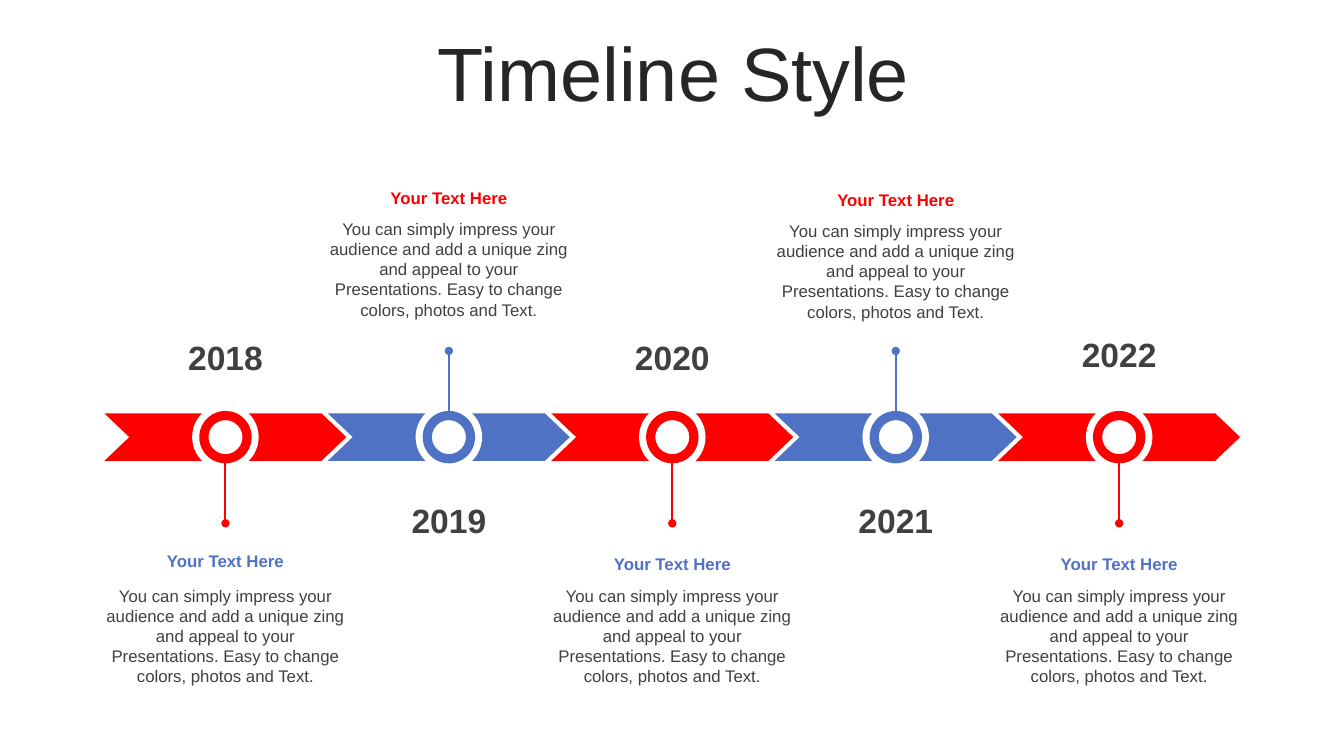
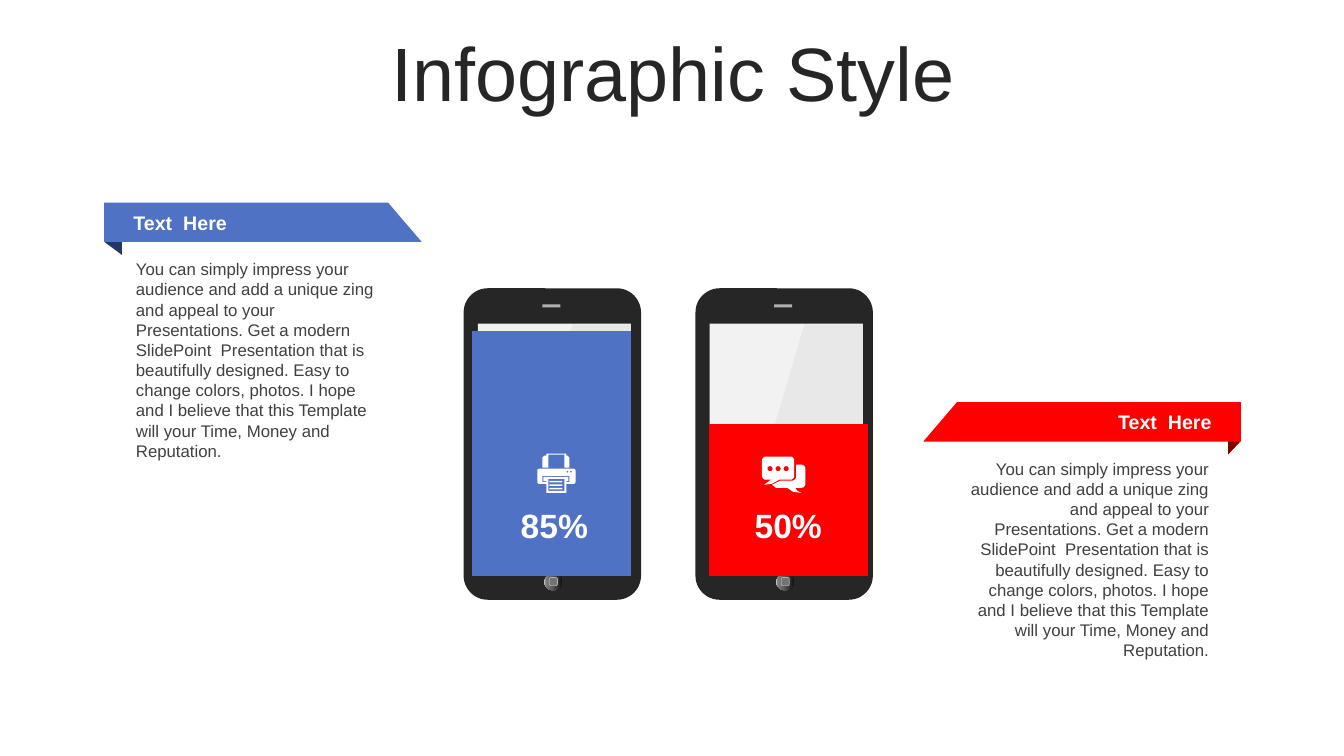
from dataclasses import dataclass
from math import cos, radians, sin

from lxml.etree import SubElement as Sub
from pptx import Presentation
from pptx.chart.data import CategoryChartData as Data
from pptx.dml.color import RGBColor as Rgb
from pptx.enum.chart import XL_CHART_TYPE as Kind
from pptx.enum.shapes import MSO_CONNECTOR as Link, MSO_SHAPE as Form
from pptx.enum.text import MSO_ANCHOR as Anchor, PP_ALIGN as Align
from pptx.oxml.ns import qn
from pptx.shapes.autoshape import Shape
from pptx.slide import Slide
from pptx.util import Emu, Inches, Pt

# The slide is a grid of 80 columns by 45 rows of square cells
COLS, ROWS = 80, 45
CELL = Inches(7.5) / ROWS

Pts = list[tuple[float, float]]
Box = tuple[float, float, float, float]


@dataclass(frozen=True)
class Theme:
    font: str = "Arial"
    red: str = "FF0000"
    blue: str = "5072C4"
    wine: str = "800000"
    navy: str = "233767"
    white: str = "FFFFFF"
    ink: str = "262626"
    grey: str = "404040"
    mid: str = "737373"
    pale: str = "B0B0B0"
    glass: str = "F2F2F2"
    shine: str = "999999"
    title: int = 54
    big: int = 24
    label: int = 14
    body: int = 12


T = Theme()


@dataclass(frozen=True)
class Stage:
    year: str
    up: bool
    date: float
    head: float
    body: float


@dataclass(frozen=True)
class Ribbon:
    edge: float
    top: float
    way: int
    fold: float
    tint: str
    dark: str


@dataclass(frozen=True)
class Phone:
    left: float
    share: str
    value: int
    tint: str
    mark: float


STAGES = [
    Stage("2018", False, 19.74, 32.46, 34.56),
    Stage("2019", True, 29.46, 10.86, 12.72),
    Stage("2020", False, 19.74, 32.64, 34.56),
    Stage("2021", True, 29.46, 10.98, 12.84),
    Stage("2022", False, 19.56, 32.64, 34.56),
]
RIBBONS = [
    Ribbon(6.2, 12.06, 1, 1.06, T.blue, T.navy),
    Ribbon(73.86, 23.94, -1, 0.76, T.red, T.wine),
]
PHONES = [
    Phone(27.6, "85%", 100, T.blue, 33),
    Phone(41.4, "50%", 62, T.red, 46.92),
]
HEAD = "Your Text Here"
NOTE = ("You can simply impress your audience and add a unique zing and appeal "
        "to your Presentations. Easy to change colors, photos and Text.")
STORY = ("You can simply impress your audience and add a unique zing and appeal "
         "to your Presentations. Get a modern SlidePoint  Presentation that is "
         "beautifully designed. Easy to change colors, photos. I hope and I believe "
         "that this Template will your Time, Money and Reputation.")


# Shared drawing tools
def cells(n: float) -> Emu:
    return Emu(round(n * CELL))


def paint(shape: Shape, tint: str) -> Shape:
    shape.shadow.inherit = False
    shape.fill.solid()
    shape.fill.fore_color.rgb = Rgb.from_string(tint)
    shape.line.fill.background()
    return shape


def draw(slide: Slide, form: Form, box: Box, tint: str, bend: float | None = None) -> Shape:
    shape = slide.shapes.add_shape(form, *map(cells, box))
    if bend is not None:
        shape.adjustments[0] = bend
    return paint(shape, tint)


def trace(slide: Slide, loops: list[Pts], tint: str) -> Shape:
    paths = [[(cells(x), cells(y)) for x, y in loop] for loop in loops]
    pen = slide.shapes.build_freeform(*paths[0][0])
    for i, path in enumerate(paths):
        if i:
            pen.move_to(*path[0])
        pen.add_line_segments(path[1:], close=True)
    return paint(pen.convert_to_shape(), tint)


def write(slide: Slide, box: Box, words: str, size: int, tint: str, bold: bool = False,
          align: Align = Align.CENTER, anchor: Anchor = Anchor.TOP,
          gap: float | None = None) -> None:
    frame = slide.shapes.add_textbox(*map(cells, box)).text_frame
    frame.word_wrap = True
    frame.vertical_anchor = anchor
    para = frame.paragraphs[0]
    para.alignment = align
    para.line_spacing = gap
    run = para.add_run()
    run.text = words
    run.font.name = T.font
    run.font.size = Pt(size)
    run.font.bold = bold
    run.font.color.rgb = Rgb.from_string(tint)


def start(deck: Presentation, title: str) -> Slide:
    slide = deck.slides.add_slide(deck.slide_layouts[6])
    write(slide, (2.1, 2.22, 75.96, 4.74), title, T.title, T.ink,
          anchor=Anchor.MIDDLE, gap=0.9)
    return slide


# Timeline parts
def pin(slide: Slide, x: float, near: float, far: float, tint: str) -> None:
    line = slide.shapes.add_connector(Link.STRAIGHT, *map(cells, (x, near, x, far)))
    line.line.color.rgb = Rgb.from_string(tint)
    line.line.width = Pt(1.5)
    Sub(line.line._get_or_add_ln(), qn("a:tailEnd"), type="oval")
    Sub(line._element.spPr, qn("a:effectLst"))


def timeline(slide: Slide) -> None:
    axis, pitch, middle = 26.02, 13.3, 40.02
    spots = [middle + (i - 2) * pitch for i in range(len(STAGES))]
    tints = [T.blue if s.up else T.red for s in STAGES]
    for x, tint in zip(spots, tints):
        draw(slide, Form.CHEVRON, (x - 7.2, axis - 1.41, 14.4, 2.82), tint, 0.525)
    for x, tint, stage in zip(spots, tints, STAGES):
        way = -1 if stage.up else 1
        draw(slide, Form.OVAL, (x - 1.98, axis - 1.98, 3.96, 3.96), T.white)
        draw(slide, Form.DONUT, (x - 1.56, axis - 1.56, 3.12, 3.12), tint, 0.175)
        pin(slide, x, axis + way * 1.56, axis + way * 5.13, tint)
        write(slide, (x - 4.44, stage.date, 8.88, 3), stage.year, T.big, T.grey, True)
        write(slide, (x - 7.74, stage.body, 15.48, 6.66), NOTE, T.body, T.grey)
        write(slide, (x - 7.77, stage.head, 15.54, 1.8), HEAD, T.body,
              T.red if stage.up else T.blue, True)


# Phone parts
def shade(shape: Shape, stops: dict[int, str]) -> None:
    shape.fill.gradient()
    shape.fill.gradient_angle = 180
    group = shape._element.spPr.find(qn("a:gradFill")).find(qn("a:gsLst"))
    for old in list(group):
        group.remove(old)
    for spot, tint in stops.items():
        stop = Sub(group, qn("a:gs"), pos=str(spot * 1000))
        Sub(stop, qn("a:srgbClr"), val=tint)


def phone(slide: Slide, left: float, top: float) -> None:
    def part(form: Form, x: float, y: float, w: float, h: float, tint: str,
             bend: float | None = None) -> Shape:
        return draw(slide, form, (left + x, top + y, w, h), tint, bend)

    part(Form.ROUNDED_RECTANGLE, 0, 0, 10.56, 18.54, T.ink, 0.136)
    part(Form.RECTANGLE, 4.68, 0.96, 1.08, 0.18, T.pale)
    home = part(Form.OVAL, 4.8, 16.98, 1.08, 1.02, T.mid)
    shade(home, {0: "0F0F0F", 56: "595959", 91: "808080", 100: "BFBFBF"})
    key = part(Form.ROUNDED_RECTANGLE, 5.1, 17.22, 0.48, 0.48, T.mid)
    key.line.color.rgb = Rgb.from_string(T.pale)
    key.line.width = Pt(0.5)
    part(Form.RECTANGLE, 0.84, 2.1, 9.12, 14.4, T.glass)
    glare = [(6.48, 2.16), (9.96, 2.16), (9.96, 16.38), (2.28, 16.38)]
    shine = trace(slide, [[(left + x, top + y) for x, y in glare]], T.shine)
    fill = shine._element.spPr.find(qn("a:solidFill"))
    Sub(fill[0], qn("a:alpha"), val="10000")


def ribbon(slide: Slide, item: Ribbon) -> None:
    def place(pts: Pts) -> list[Pts]:
        return [[(item.edge + item.way * x, item.top + y) for x, y in pts]]

    def span(gap: float, width: float) -> float:
        return item.edge + gap if item.way > 0 else item.edge - gap - width

    align = Align.LEFT if item.way > 0 else Align.RIGHT
    trace(slide, place([(0.04, 0.1), (item.fold, 0.1), (item.fold, 3.12), (0.04, 2.36)]),
          item.dark)
    trace(slide, place([(0, 0), (16.9, 0), (18.9, 2.34), (0, 2.34)]), item.tint)
    write(slide, (span(1.15, 9.42), item.top, 9.42, 2.34), "Text  Here", T.label,
          T.white, True, align, Anchor.MIDDLE)
    write(slide, (span(1.3, 15.74), item.top + 3.06, 15.74, 12.72), STORY, T.body,
          T.grey, align=align)


def bars(slide: Slide) -> None:
    data = Data()
    data.categories = ["1", "2"]
    data.add_series("Series 1", [p.value for p in PHONES])
    box = map(cells, (25.2, 17.64, 29.4, 17.1))
    chart = slide.shapes.add_chart(Kind.COLUMN_STACKED, *box, data).chart
    chart.has_legend = chart.has_title = False
    chart.font.name, chart.font.size = T.font, Pt(18)
    chart.font.color.rgb = Rgb(0, 0, 0)
    chart.category_axis.visible = False
    scale = chart.value_axis
    scale.visible = scale.has_major_gridlines = False
    scale.minimum_scale, scale.maximum_scale = 0, 100
    plot = chart.plots[0]
    plot.gap_width, plot.overlap, plot.vary_by_categories = 49, 100, False
    for i, item in enumerate(PHONES):
        fill = plot.series[0].points[i].format.fill
        fill.solid()
        fill.fore_color.rgb = Rgb.from_string(item.tint)
    # Fix the plot area so that the bars sit on the screens
    area = chart._chartSpace.chart.plotArea
    for old in area.findall(qn("c:layout")):
        area.remove(old)
    frame = area.makeelement(qn("c:layout"))
    area.insert(0, frame)
    spot = Sub(frame, qn("c:manualLayout"))
    rules = {"layoutTarget": "inner", "xMode": "edge", "yMode": "edge",
             "x": "0.02", "y": "0.12", "w": "0.96", "h": "0.855"}
    for name, val in rules.items():
        Sub(spot, qn(f"c:{name}"), val=val)


# Icons, outlined in units of 0.06 cell
def arc(x: float, y: float, r: float, a: int, sweep: int = 90) -> Pts:
    turns = [radians(a + sweep * k / 12) for k in range(13)]
    return [(x + r * cos(t), y + r * sin(t)) for t in turns]


def rect(l: float, t: float, r: float, b: float) -> Pts:
    return [(l, t), (r, t), (r, b), (l, b)]


def printer() -> list[Pts]:
    body = (arc(2, 17, 2, 180) + arc(36, 17, 2, 270) + arc(36, 28, 2, 0)
            + [(29, 30), (29, 39), (9, 39), (9, 30)] + arc(2, 28, 2, 90))
    slot = [(5, 22), (5, 28), (9, 28), (9, 27), (6, 27), (6, 23),
            (31, 23), (31, 27), (29, 27), (29, 28), (32, 28), (32, 22)]
    feed = [(9, 0), (29, 0), (29, 2), (30, 2), (32, 4), (32, 14), (27, 14), (27, 1),
            (11, 1), (11, 14), (5, 14), (5, 4), (7, 2), (9, 2)]
    lines = [rect(12, y, 25, y + 1.5) for y in (27, 30.5, 34)]
    lamps = [arc(x, 18, 0.9, 0, 360) for x in (30, 33.5)]
    return [body, feed, slot, rect(11, 25, 27, 37), *lines, *lamps]


def chat() -> list[Pts]:
    front = (arc(4, 4, 4, 180) + arc(28, 4, 4, 270) + arc(28, 19, 4, 0)
             + [(17, 23), (10, 27), (2, 28), (9, 23)] + arc(4, 19, 4, 90))
    back = ([(34, 8)] + arc(39, 12, 4, 270) + arc(39, 27, 4, 0)
            + [(33, 31), (35, 34), (39, 36), (31, 35), (25, 31), (14, 31), (10, 28),
               (18, 24)] + arc(29.5, 19.5, 4.5, 90, -90))
    return [front, back, *(arc(x, 12, 2.6, 0, 360) for x in (8, 16, 24))]


def icon(slide: Slide, loops: list[Pts], left: float, top: float) -> None:
    unit = 0.06
    trace(slide, [[(left + x * unit, top + y * unit) for x, y in loop] for loop in loops],
          T.white)


def graphic(slide: Slide) -> None:
    for item in PHONES:
        phone(slide, item.left, 17.16)
    for item in RIBBONS:
        ribbon(slide, item)
    bars(slide)
    for item, left, loops, top in zip(PHONES, (31.98, 45.36), (printer(), chat()),
                                      (27, 27.18)):
        icon(slide, loops, left, top)
        write(slide, (item.mark - 2.64, 29.76, 5.28, 3), item.share, T.big, T.white,
              True, anchor=Anchor.MIDDLE)


def main() -> None:
    deck = Presentation()
    deck.slide_width, deck.slide_height = cells(COLS), cells(ROWS)
    timeline(start(deck, "Timeline Style"))
    graphic(start(deck, "Infographic Style"))
    deck.save("out.pptx")


if __name__ == "__main__":
    main()
